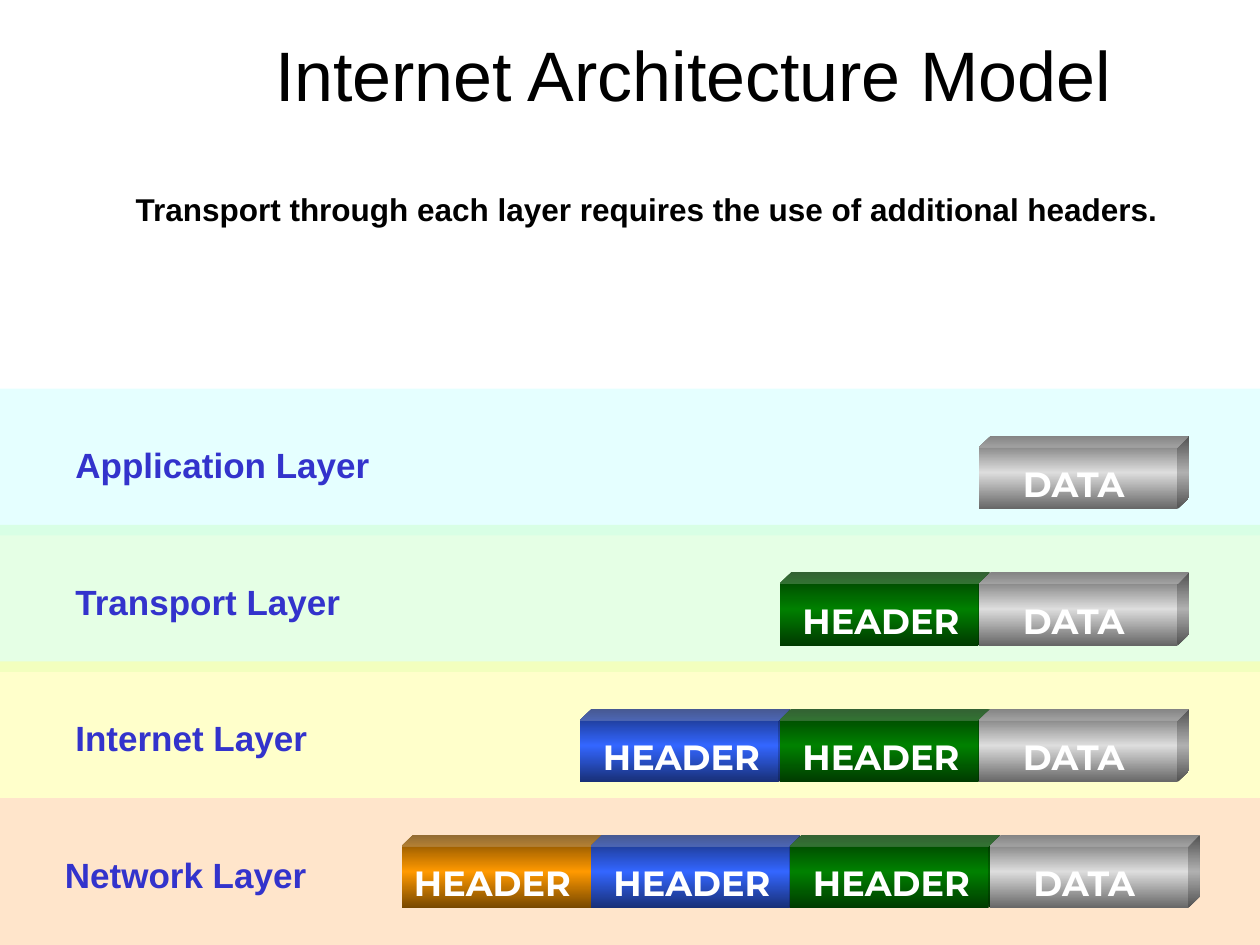
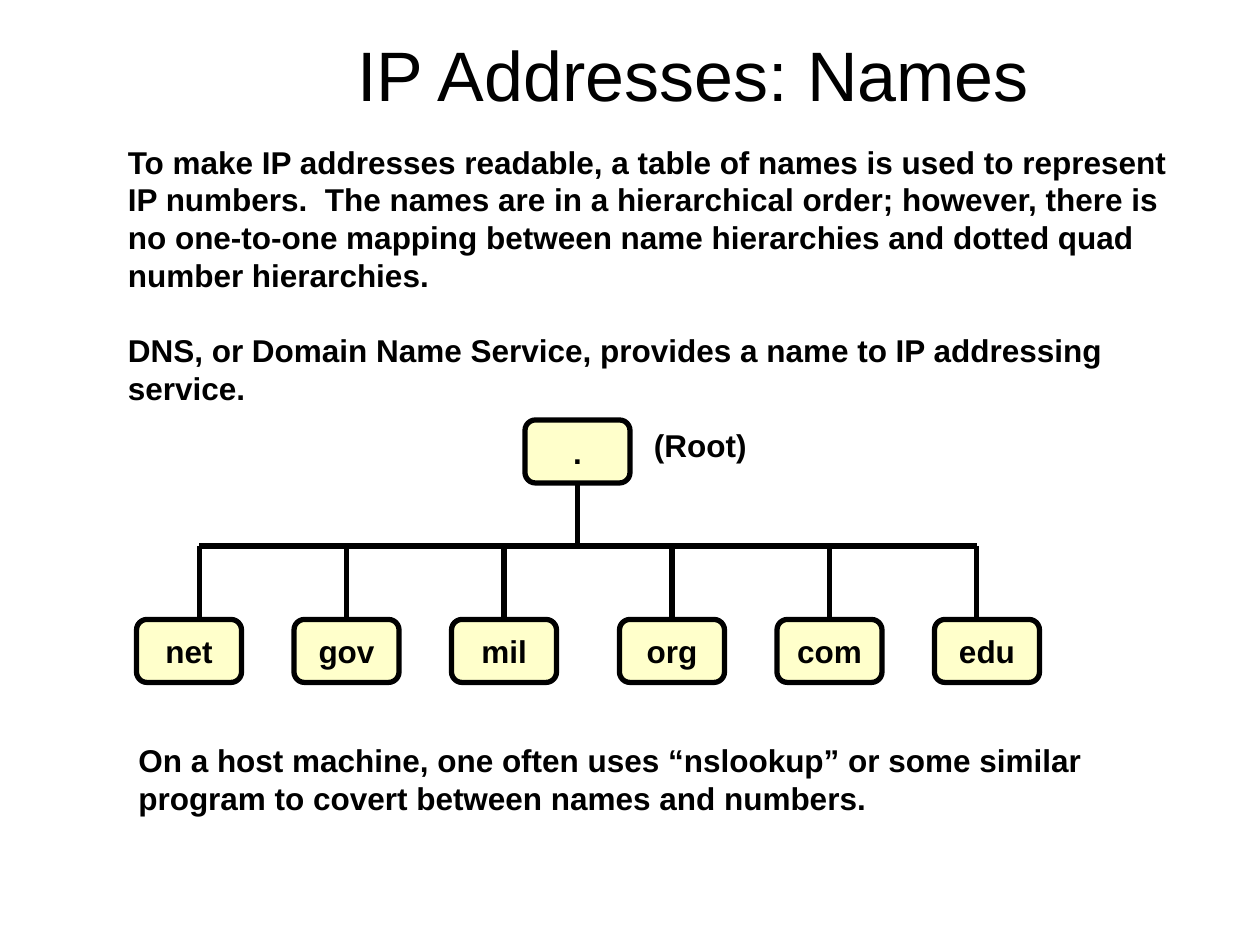
from copy import deepcopy
from dataclasses import dataclass

from lxml import etree
from pptx import Presentation
from pptx import util as u
from pptx.dml.color import RGBColor
from pptx.enum import shapes, text
from pptx.oxml import ns

# The slide is a grid of 120 columns by 90 rows, twelve cells to the inch.
COLUMNS, ROWS = 120, 90
CELL = u.Inches(1) / 12


@dataclass(frozen=True)
class Theme:
    font: str = "Arial"
    block_font: str = "Montserrat"
    title_size: int = 40
    label_size: int = 20
    body_size: int = 18
    ink: str = "000000"
    label: str = "3333CC"
    block_text: str = "FFFFFF"
    node: str = "FFFF99"
    opacity: int = 50
    line_width: int = 3


THEME = Theme()

# Each block has a shaded edge colour and a bright middle colour.
DATA = ("DATA", "666666", "DDDDDD")
TRANSPORT_HEADER = ("HEADER", "003B00", "008000")
INTERNET_HEADER = ("HEADER", "182F76", "3366FF")
NETWORK_HEADER = ("HEADER", "764700", "FF9900")

# name, band colour, band height, label column, label width, blocks
LAYERS = [
    ("Application Layer", "CCFFFF", 14, 6, 30.4, [DATA]),
    ("Transport Layer", "CCFFCC", 14, 6, 27.8, [TRANSPORT_HEADER, DATA]),
    ("Internet Layer", "FFFF99", 13, 6, 24.5,
     [INTERNET_HEADER, TRANSPORT_HEADER, DATA]),
    ("Network Layer", "FFCC99", 14, 5, 25.4,
     [NETWORK_HEADER, INTERNET_HEADER, TRANSPORT_HEADER, DATA]),
]
DOMAINS = ["net", "gov", "mil", "org", "com", "edu"]


def cells(*counts):
    return [u.Emu(round(count * CELL)) for count in counts]


def format_text(frame, size, color=THEME.ink, font=THEME.font, bold=True):
    for paragraph in frame.paragraphs:
        for run in paragraph.runs:
            run.font.size = u.Pt(size)
            run.font.name = font
            run.font.bold = bold
            run.font.color.rgb = RGBColor.from_string(color)


def add_titled_slide(deck, title):
    slide = deck.slides.add_slide(deck.slide_layouts[5])
    heading = slide.shapes.title
    heading.left, heading.top, heading.width, heading.height = cells(12, 3, 108, 8)
    frame = heading.text_frame
    frame.text = title
    frame.vertical_anchor = text.MSO_ANCHOR.MIDDLE
    frame.paragraphs[0].alignment = text.PP_ALIGN.CENTER
    format_text(frame, THEME.title_size, bold=False)
    return slide


def add_text(slide, area, words, size=THEME.body_size, wrap=False, **style):
    frame = slide.shapes.add_textbox(*cells(*area)).text_frame
    frame.text = words
    frame.word_wrap = wrap
    frame.auto_size = text.MSO_AUTO_SIZE.SHAPE_TO_FIT_TEXT
    format_text(frame, size, **style)
    return frame


def add_plain_shape(slide, preset, area):
    shape = slide.shapes.add_shape(preset, *cells(*area))
    shape.shadow.inherit = False
    shape.line.fill.background()
    return shape


def fill_translucent(shape, color):
    shape.fill.solid()
    shape.fill.fore_color.rgb = RGBColor.from_string(color)
    tint = shape.element.spPr.find(ns.qn("a:solidFill"))[0]
    etree.SubElement(tint, ns.qn("a:alpha"), val=str(THEME.opacity * 1000))


def fill_cylinder_shading(shape, edge, middle):
    shape.fill.gradient()
    shape.fill.gradient_angle = 90
    stop_list = shape.element.spPr.find(ns.qn("a:gradFill")).find(ns.qn("a:gsLst"))
    stop_list.append(deepcopy(stop_list[0]))
    shades = zip(shape.fill.gradient_stops, (0, 0.5, 1), (edge, middle, edge))
    for stop, position, color in shades:
        stop.position = position
        stop.color.rgb = RGBColor.from_string(color)


def add_block(slide, left, top, block):
    words, edge, middle = block
    cube = add_plain_shape(slide, shapes.MSO_SHAPE.CUBE, (left, top, 20, 7))
    cube.adjustments[0] = 0.158
    fill_cylinder_shading(cube, edge, middle)
    inset, width = (3, 13) if block is DATA else (1, 19)
    if block is NETWORK_HEADER:
        inset = 0
    add_text(slide, (left + inset, top + 2, width, 5.25), words, THEME.label_size,
             wrap=True, color=THEME.block_text, font=THEME.block_font)


def add_node(slide, left, top, name):
    node = add_plain_shape(slide, shapes.MSO_SHAPE.ROUNDED_RECTANGLE,
                           (left, top, 10, 6))
    fill_translucent(node, THEME.node)
    node.line.color.rgb = RGBColor.from_string(THEME.ink)
    node.line.width = u.Pt(THEME.line_width)
    frame = node.text_frame
    frame.text = name
    frame.word_wrap = False
    frame.vertical_anchor = text.MSO_ANCHOR.MIDDLE
    frame.paragraphs[0].alignment = text.PP_ALIGN.CENTER
    format_text(frame, THEME.body_size)


def add_branch(slide, *ends):
    branch = slide.shapes.add_connector(shapes.MSO_CONNECTOR.STRAIGHT, *cells(*ends))
    branch.line.color.rgb = RGBColor.from_string(THEME.ink)
    branch.line.width = u.Pt(THEME.line_width)
    etree.SubElement(branch.element.spPr, ns.qn("a:effectLst"))


def build_architecture(deck):
    slide = add_titled_slide(deck, "Internet Architecture Model")
    first_band, band_step, block_step = 37, 13, 19
    band_tops = [first_band + band_step * row for row in range(len(LAYERS))]

    # Layer bands, which overlap slightly
    for top, (_, color, height, *_) in zip(band_tops, LAYERS):
        band = add_plain_shape(slide, shapes.MSO_SHAPE.RECTANGLE,
                               (0, top, COLUMNS, height))
        fill_translucent(band, color)

    # Layer names and the blocks each layer carries, aligned on the data block
    for top, (name, _, _, column, width, blocks) in zip(band_tops, LAYERS):
        add_text(slide, (column, top + 4.67, width, 5.25), name,
                 THEME.label_size, color=THEME.label)
        lowest = top == band_tops[-1]
        data_left = 94.25 if lowest else 93.25
        block_top = top + (3.5 if lowest else 4.5)
        for index, block in enumerate(blocks):
            left = data_left - block_step * (len(blocks) - 1 - index)
            # The outermost header sits one column nearer its neighbour
            add_block(slide, left + (block is NETWORK_HEADER), block_top, block)

    add_text(slide, (11.75, 17.5, 99.9, 4.8),
             "Transport through each layer requires the use of additional headers.")


def build_names(deck):
    slide = add_titled_slide(deck, "IP Addresses: Names")
    intro = add_text(
        slide, (11, 13, 102.25, 30),
        "To make IP addresses readable, a table of names is used to represent\n"
        "IP numbers.  The names are in a hierarchical order; however, there is "
        "no one-to-one mapping between name hierarchies and dotted quad "
        "number hierarchies.\n"
        "DNS, or Domain Name Service, provides a name to IP addressing service.",
        wrap=True)
    intro.paragraphs[-1].space_before = u.Pt(21.5)

    # Domain tree: root, bus and one drop to each domain
    root_left, root_top, bus, domain_top = 50, 40, 52, 59
    lefts = [13 + 15 * i + (i >= len(DOMAINS) // 2) for i in range(len(DOMAINS))]
    drops = [left + 5 for left in lefts]
    drops[0] += 1
    drops[-1] -= 1
    for left, domain in zip(lefts, DOMAINS):
        add_node(slide, left, domain_top, domain)
    add_node(slide, root_left, root_top, ".")
    add_branch(slide, root_left + 5, root_top + 6, root_left + 5, bus)
    add_branch(slide, drops[0], bus, drops[-1], bus)
    for drop in drops:
        add_branch(slide, drop, bus, drop, domain_top)

    add_text(slide, (61.1, root_top, 11.2, 4.8), "(Root)")
    add_text(slide, (12, 70, 92.4, 8.4),
             "On a host machine, one often uses “nslookup” or some similar\n"
             "program to covert between names and numbers.")


def main():
    deck = Presentation()
    deck.slide_width, deck.slide_height = cells(COLUMNS, ROWS)
    build_architecture(deck)
    build_names(deck)
    deck.save("out.pptx")


if __name__ == "__main__":
    main()
